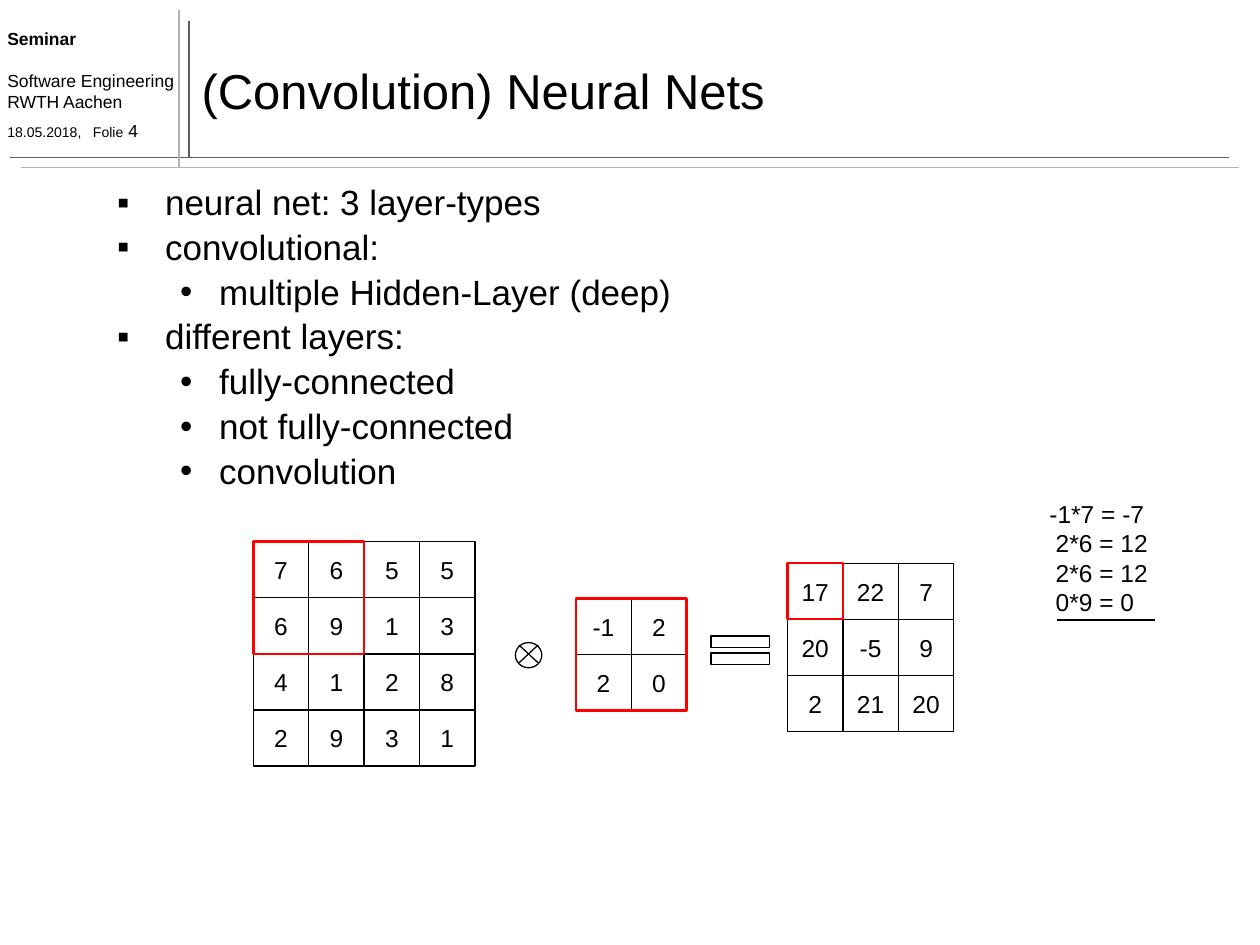
from lxml.etree import SubElement
from pptx import Presentation
from pptx.dml.color import RGBColor
from pptx.enum.shapes import MSO_CONNECTOR, MSO_SHAPE
from pptx.enum.text import MSO_ANCHOR, MSO_AUTO_SIZE, PP_ALIGN
from pptx.oxml.ns import qn
from pptx.util import Inches, Pt

BLACK = RGBColor(0x00, 0x00, 0x00)
WHITE = RGBColor(0xFF, 0xFF, 0xFF)
RED = RGBColor(0xFF, 0x00, 0x00)
DARK = RGBColor(0x5C, 0x5C, 0x5C)
LIGHT = RGBColor(0xB2, 0xB2, 0xB2)


class Deck:
    font = "Arial"
    cell_w, cell_h = 0.44, 0.445

    def __init__(self):
        self.prs = Presentation()
        self.prs.slide_width, self.prs.slide_height = Inches(10), Inches(7.5)
        self.slide = self.prs.slides.add_slide(self.prs.slide_layouts[1])

    def run(self, para, text, size, bold=False):
        run = para.add_run()
        run.text = text
        run.font.name, run.font.size = self.font, Pt(size)
        run.font.bold = bold
        run.font.color.rgb = BLACK

    def para(self, frame, first):
        return frame.paragraphs[0] if first else frame.add_paragraph()

    def indent(self, para, left, hang=0):
        props = para._p.get_or_add_pPr()
        props.set("marL", str(Inches(left)))
        props.set("indent", str(Inches(-hang)))
        return props

    def place(self, shape, left, top, width, height):
        shape.left, shape.top = Inches(left), Inches(top)
        shape.width, shape.height = Inches(width), Inches(height)
        shape.text_frame.auto_size = MSO_AUTO_SIZE.NONE
        return shape.text_frame

    def title(self, text, *area):
        frame = self.place(self.slide.shapes.title, *area)
        frame.vertical_anchor = MSO_ANCHOR.MIDDLE
        para = frame.paragraphs[0]
        para.alignment = PP_ALIGN.LEFT
        self.run(para, text, 28)

    def bullets(self, items, *area):
        styles = [(0.38, 0.38, "▪"), (0.81, 0.31, "•")]
        frame = self.place(self.slide.placeholders[1], *area)
        for i, (level, text) in enumerate(items):
            para = self.para(frame, i == 0)
            left, hang, mark = styles[level]
            para.level = level
            props = self.indent(para, left, hang)
            SubElement(props, qn("a:buFont"), typeface=self.font)
            SubElement(props, qn("a:buChar"), char=mark)
            para.line_spacing = 0.9
            para.space_before = Pt(4 if i else 0)
            self.run(para, text, 20)

    def text(self, left, top, width, height, wrap=True):
        box = self.slide.shapes.add_textbox(
            Inches(left), Inches(top), Inches(width), Inches(height))
        box.text_frame.word_wrap = wrap
        return box.text_frame

    def line(self, x1, y1, x2, y2, color=BLACK, width=0.75):
        line = self.slide.shapes.add_connector(
            MSO_CONNECTOR.STRAIGHT, Inches(x1), Inches(y1), Inches(x2), Inches(y2))
        line.line.color.rgb, line.line.width = color, Pt(width)
        SubElement(line._element.spPr, qn("a:effectLst"))

    def shape(self, kind, left, top, width, height, color=BLACK, fill=True):
        shape = self.slide.shapes.add_shape(
            kind, Inches(left), Inches(top), Inches(width), Inches(height))
        shape.shadow.inherit = False
        if fill:
            shape.fill.solid()
            shape.fill.fore_color.rgb = WHITE
        else:
            shape.fill.background()
        shape.line.color.rgb = color
        shape.line.width = Pt(1.5 if color == RED else 0.75)
        return shape

    def cell(self, value, left, top, color=BLACK):
        box = self.shape(MSO_SHAPE.RECTANGLE, left, top, self.cell_w, self.cell_h, color)
        frame = box.text_frame
        frame.margin_left = frame.margin_right = 0
        frame.vertical_anchor = MSO_ANCHOR.MIDDLE
        para = frame.paragraphs[0]
        para.alignment = PP_ALIGN.CENTER
        self.run(para, str(value), 14)

    def grid(self, rows, left, top):
        for r, row in enumerate(rows):
            for c, value in enumerate(row):
                if value is not None:
                    self.cell(value, left + c * self.cell_w, top + r * self.cell_h)

    def frame(self, left, top):
        self.shape(MSO_SHAPE.RECTANGLE, left, top,
                   2 * self.cell_w, 2 * self.cell_h, RED, fill=False)


def main():
    deck = Deck()

    # Header rules
    deck.line(1.5, 1.25, 1.5, 0.17, DARK, 1)
    deck.line(0.08, 1.25, 9.75, 1.25, DARK, 1)
    deck.line(0.17, 1.33, 9.83, 1.33, LIGHT, 1)
    deck.line(1.42, 1.33, 1.42, 0.08, LIGHT, 1)

    # Seminar details
    info = deck.text(-0.04, 0.17, 1.54, 1.03)
    details = [("Seminar", 0), ("Software Engineering", 12), ("RWTH Aachen", 0)]
    for i, (text, gap) in enumerate(details):
        para = deck.para(info, i == 0)
        para.space_before = Pt(gap)
        deck.run(para, text, 10, bold=i == 0)
    para = info.add_paragraph()
    tabs = SubElement(para._p.get_or_add_pPr(), qn("a:tabLst"))
    SubElement(tabs, qn("a:tab"), pos=str(Inches(0.68)), algn="l")
    para.space_before = Pt(5)
    deck.run(para, "18.05.2018,\tFolie", 8)
    deck.run(para, " 4", 10)

    # Title and list
    deck.title("(Convolution) Neural Nets", 1.5, 0.25, 8.33, 0.92)
    deck.bullets([
        (0, "neural net: 3 layer-types"),
        (0, "convolutional:"),
        (1, "multiple Hidden-Layer (deep)"),
        (0, "different layers:"),
        (1, "fully-connected"),
        (1, "not fully-connected"),
        (1, "convolution"),
    ], 0.83, 1.42, 9, 2.13)

    # Input matrix
    deck.grid([[7, 6, 5, 5], [6, 9, 1, 3], [4, 1, 2, 8], [2, 9, 3, 1]], 2.01, 4.3)
    deck.frame(2.01, 4.3)

    # Convolution sign
    deck.shape(MSO_SHAPE.OVAL, 4.09, 5.1, 0.21, 0.2)
    deck.line(4.12, 5.12, 4.27, 5.26)
    deck.line(4.27, 5.12, 4.12, 5.26)

    # Kernel
    deck.grid([[-1, 2], [2, 0]], 4.57, 4.75)
    deck.frame(4.57, 4.75)

    # Result
    deck.shape(MSO_SHAPE.MATH_EQUAL, 5.56, 4.97, 0.63, 0.38)
    deck.grid([[None, 22, 7], [20, -5, 9], [2, 21, 20]], 6.25, 4.47)
    deck.cell(17, 6.25, 4.47, RED)

    # Worked sum
    sums = deck.text(8.23, 3.91, 0.99, 1.04, wrap=False)
    for i, text in enumerate(["-1*7 = -7", "2*6 = 12", "2*6 = 12", "0*9 = 0"]):
        para = deck.para(sums, i == 0)
        deck.indent(para, 0.05 if i else 0)
        deck.run(para, text, 14)
    deck.line(8.39, 4.92, 9.17, 4.92)

    deck.prs.save("out.pptx")


if __name__ == "__main__":
    main()
